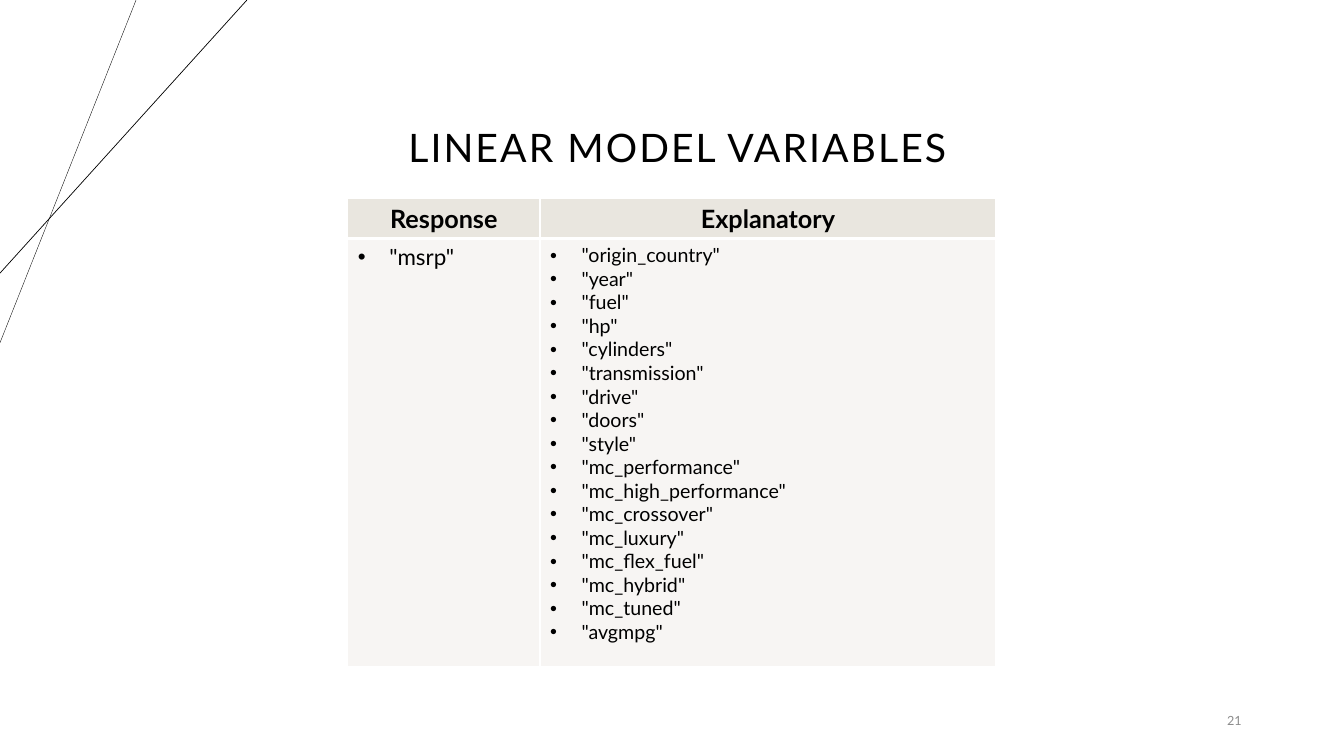
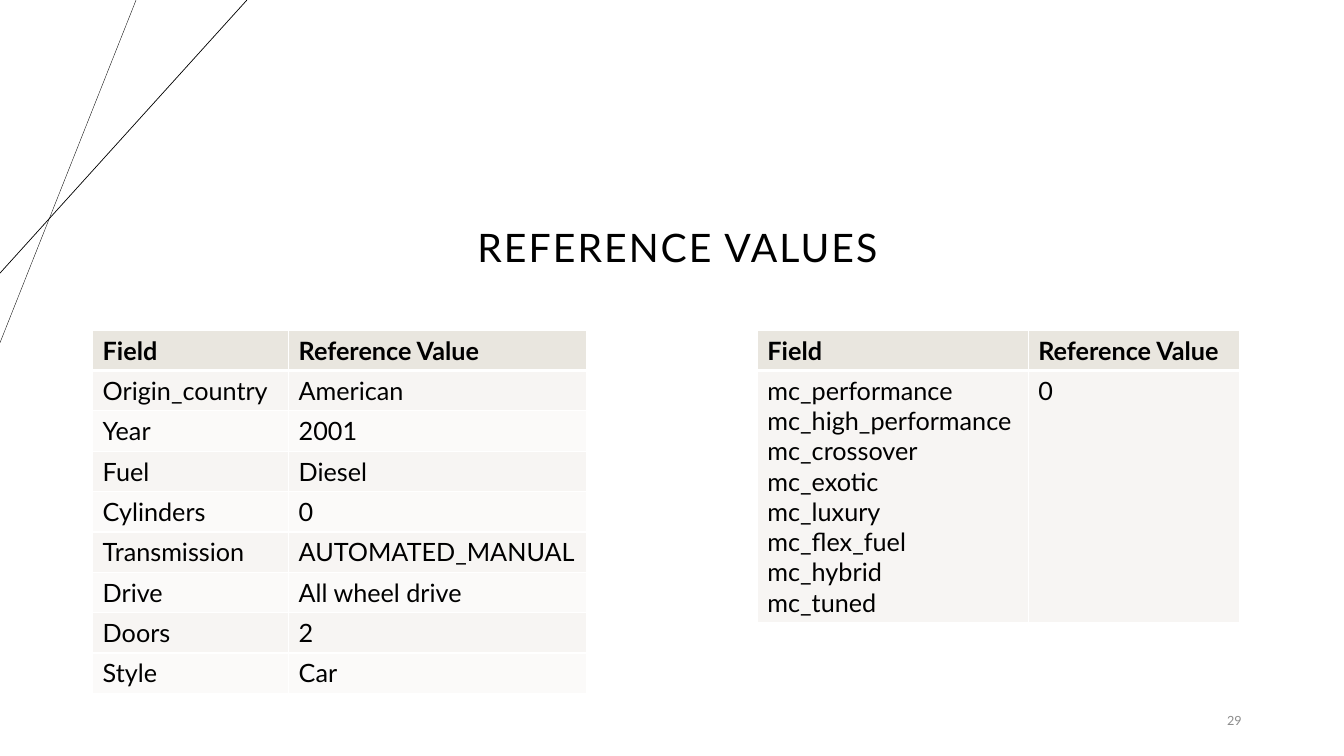
from lxml import etree
from pptx import Presentation
from pptx.dml.color import RGBColor
from pptx.enum.shapes import MSO_CONNECTOR
from pptx.enum.text import MSO_ANCHOR, MSO_AUTO_SIZE, PP_ALIGN
from pptx.oxml.ns import qn
from pptx.util import Pt

STRAIGHT = MSO_CONNECTOR.STRAIGHT
MIDDLE = MSO_ANCHOR.MIDDLE
FIXED = MSO_AUTO_SIZE.NONE
LEFT, CENTER, RIGHT = PP_ALIGN.LEFT, PP_ALIGN.CENTER, PP_ALIGN.RIGHT

BLACK = RGBColor(0x00, 0x00, 0x00)
WHITE = RGBColor(0xFF, 0xFF, 0xFF)
GRAY = RGBColor(0x8C, 0x8C, 0x8C)
HEADER_FILL = RGBColor(0xE9, 0xE6, 0xDF)
BAND_FILLS = (RGBColor(0xF7, 0xF5, 0xF3), RGBColor(0xFB, 0xFA, 0xF9))

FONT = "Lato"
SLIDE_WIDTH, SLIDE_HEIGHT = 960, 540
TITLE_WIDTH, TITLE_HEIGHT = 663, 104.4
HEADER_HEIGHT = 28.8
BULLET_INDENT = 22.5
THIN, THICK = 1, 3
CORNER_LINES = (
    ((97.2, 0), (0, 244.8), 0.25),
    ((176.4, 0), (0, 195.1), 0.5),
)

EXPLANATORY = (
    "origin_country", "year", "fuel", "hp", "cylinders", "transmission",
    "drive", "doors", "style", "mc_performance", "mc_high_performance",
    "mc_crossover", "mc_luxury", "mc_flex_fuel", "mc_hybrid", "mc_tuned",
    "avgmpg",
)
REFERENCE_HEADER = ("Field", "Reference Value")
REFERENCE_VALUES = (
    ("Origin_country", "American"),
    ("Year", "2001"),
    ("Fuel", "Diesel"),
    ("Cylinders", "0"),
    ("Transmission", "AUTOMATED_MANUAL"),
    ("Drive", "All wheel drive"),
    ("Doors", "2"),
    ("Style", "Car"),
)
CATEGORY_FIELDS = (
    "mc_performance", "mc_high_performance", "mc_crossover", "mc_exotic",
    "mc_luxury", "mc_flex_fuel", "mc_hybrid", "mc_tuned",
)


def add_bullet(para):
    properties = para._p.get_or_add_pPr()
    properties.set("marL", str(Pt(BULLET_INDENT)))
    properties.set("indent", str(-Pt(BULLET_INDENT)))
    etree.SubElement(properties, qn("a:buFont")).set("typeface", "Arial")
    etree.SubElement(properties, qn("a:buChar")).set("char", "•")


def write_text(frame, text, size=18, color=BLACK, bold=False, align=LEFT,
               bullet=False, tracking=0, line_spacing=None):
    for index, line in enumerate(text.split("\n")):
        para = frame.paragraphs[0] if index == 0 else frame.add_paragraph()
        para.alignment = align
        if line_spacing:
            para.line_spacing = line_spacing
        if bullet:
            add_bullet(para)
        span = para.add_run()
        span.text = line
        span.font.name = FONT
        span.font.size = Pt(size)
        span.font.bold = bold
        span.font.color.rgb = color
        if tracking:
            span.font._element.set("spc", str(int(tracking * 100)))


def set_borders(cell, top=THIN, bottom=THIN):
    properties = cell._tc.get_or_add_tcPr()
    widths = {"a:lnL": THIN, "a:lnR": THIN, "a:lnT": top, "a:lnB": bottom}
    for index, (tag, width) in enumerate(widths.items()):
        border = etree.Element(qn(tag), w=str(Pt(width)))
        fill = etree.SubElement(border, qn("a:solidFill"))
        etree.SubElement(fill, qn("a:srgbClr")).set("val", str(WHITE))
        properties.insert(index, border)


def add_banded_table(page, left, top, widths, header, rows, row_height,
                     header_align=LEFT, sizes=(18, 18), bullet=False):
    height = HEADER_HEIGHT + row_height * len(rows)
    frame = page.shapes.add_table(len(rows) + 1, len(widths), Pt(left),
                                  Pt(top), Pt(sum(widths)), Pt(height))
    table = frame.table
    for column, width in zip(table.columns, widths):
        column.width = Pt(width)
    for row_index, texts in enumerate((header, *rows)):
        is_header = row_index == 0
        table.rows[row_index].height = Pt(HEADER_HEIGHT if is_header else row_height)
        for column_index, text in enumerate(texts):
            cell = table.cell(row_index, column_index)
            cell.fill.solid()
            if is_header:
                cell.fill.fore_color.rgb = HEADER_FILL
                set_borders(cell, bottom=THICK)
                write_text(cell.text_frame, text, bold=True, align=header_align)
            else:
                cell.fill.fore_color.rgb = BAND_FILLS[(row_index - 1) % 2]
                set_borders(cell, top=THICK if row_index == 1 else THIN)
                write_text(cell.text_frame, text, size=sizes[column_index],
                           bullet=bullet)


def add_corner_lines(page):
    for start, end, width in CORNER_LINES:
        line = page.shapes.add_connector(
            STRAIGHT, *(Pt(value) for value in (*start, *end)))
        line.line.color.rgb = BLACK
        line.line.width = Pt(width)
        etree.SubElement(line._element.spPr, qn("a:effectLst"))


def add_page_number(page, number):
    box = page.shapes.add_textbox(Pt(678), Pt(500.4), Pt(216), Pt(28.8))
    frame = box.text_frame
    frame.word_wrap = True
    frame.vertical_anchor = MIDDLE
    write_text(frame, str(number), size=9, color=GRAY, align=RIGHT)


def add_page(deck, title, title_top, number):
    page = deck.slides.add_slide(deck.slide_layouts[5])
    add_corner_lines(page)
    box = page.shapes.title
    box.left, box.top = Pt((SLIDE_WIDTH - TITLE_WIDTH) / 2 + 4), Pt(title_top)
    box.width, box.height = Pt(TITLE_WIDTH), Pt(TITLE_HEIGHT)
    frame = box.text_frame
    frame.word_wrap = True
    frame.auto_size = FIXED
    frame.vertical_anchor = MIDDLE
    write_text(frame, title, size=28, align=CENTER, tracking=1.5,
               line_spacing=0.9)
    add_page_number(page, number)
    return page


def build_variables_page(deck):
    page = add_page(deck, "LINEAR MODEL VARIABLES", 54.7, 21)
    explanatory = "\n".join(f'"{name}"' for name in EXPLANATORY)
    add_banded_table(page, 248.4, 141.5, (137.3, 325.8),
                     ("Response", "Explanatory"), (('"msrp"', explanatory),),
                     306, header_align=CENTER, sizes=(16, 14), bullet=True)


def build_reference_page(deck):
    page = add_page(deck, "REFERENCE VALUES", 126, 29)
    top = 235.8
    add_banded_table(page, 66.2, top, (140, 212.6), REFERENCE_HEADER,
                     REFERENCE_VALUES, 28.8)
    add_banded_table(page, 541, top, (193.5, 151.2), REFERENCE_HEADER,
                     (("\n".join(CATEGORY_FIELDS), "0"),), 180)


def main():
    deck = Presentation()
    deck.slide_width, deck.slide_height = Pt(SLIDE_WIDTH), Pt(SLIDE_HEIGHT)
    build_variables_page(deck)
    build_reference_page(deck)
    deck.save("out.pptx")


if __name__ == "__main__":
    main()
